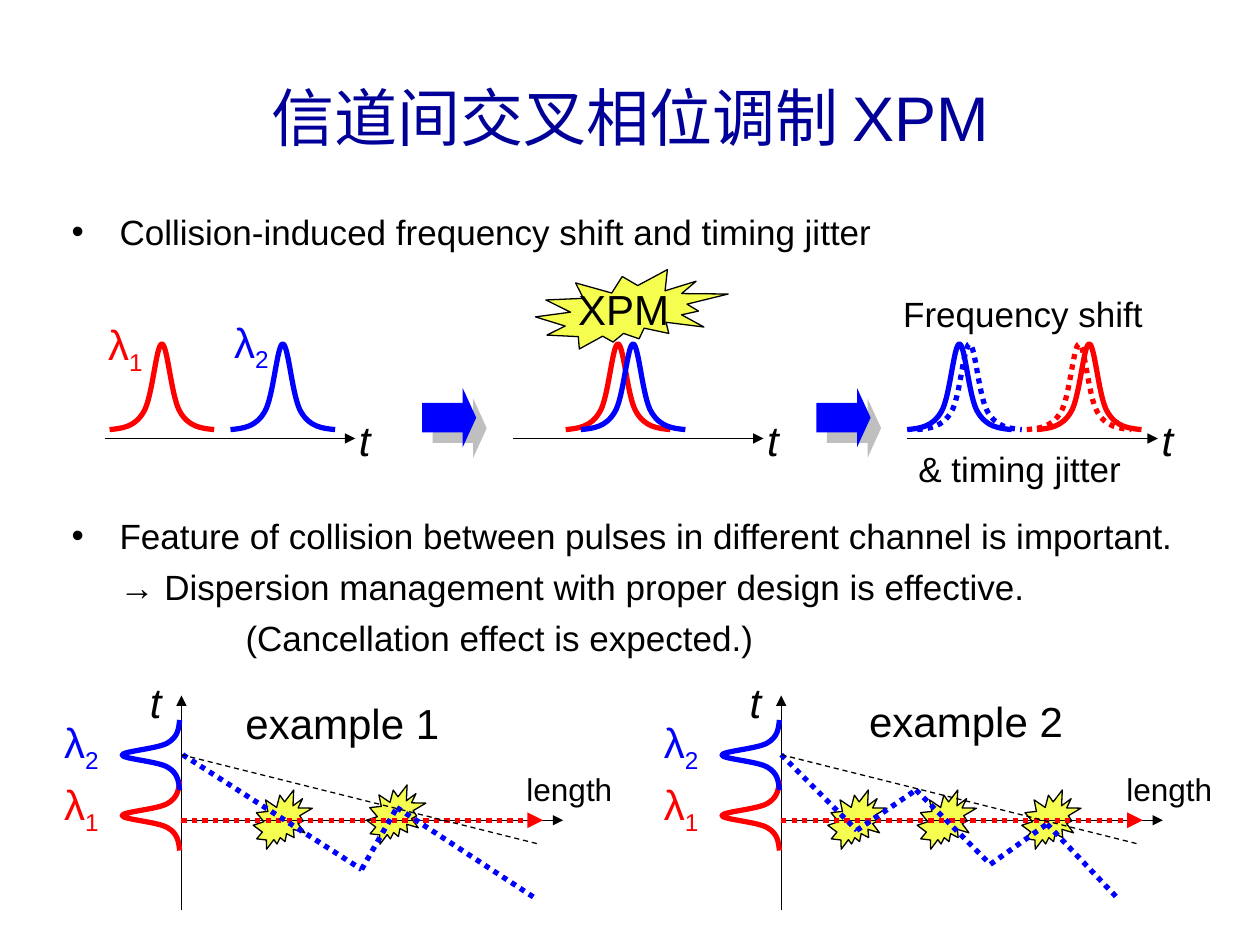
from itertools import pairwise

from lxml.etree import SubElement
from pptx import Presentation
from pptx.dml.color import RGBColor
from pptx.enum.dml import MSO_LINE
from pptx.enum.shapes import MSO_CONNECTOR, MSO_SHAPE
from pptx.enum.text import MSO_ANCHOR, MSO_AUTO_SIZE, PP_ALIGN
from pptx.oxml import parse_xml
from pptx.oxml.ns import nsdecls, qn
from pptx.util import Inches, Pt

COLORS = {
    "title": "000099",
    "black": "000000",
    "red": "FF0000",
    "blue": "0000FF",
    "yellow": "F1FD03",
    "shadow": "808080",
}
FONT = "Arial"
PULSE_WIDTH = 0.83
PULSE_HEIGHT = 0.68
RISE = [(0, 0), (0.1, 0.01), (0.2, 0.02), (0.27, 0.14), (0.34, 0.25), (0.37, 0.68)]
PEAK = (PULSE_WIDTH / 2, PULSE_HEIGHT)
PROFILE = RISE + [PEAK] + [(PULSE_WIDTH - u, v) for u, v in reversed(RISE)]


def color(name):
    return RGBColor.from_string(COLORS[name])


def style_line(line, name, width, dash=None):
    line.color.rgb = color(name)
    line.width = Pt(width)
    if dash:
        line.dash_style = dash


def style_font(font, size, name, italic=False):
    font.name = FONT
    font.size = Pt(size)
    font.color.rgb = color(name)
    font.italic = italic


def add_label(page, left, top, width, height, text, size, name="black",
              italic=False, subscript=""):
    box = page.shapes.add_textbox(Inches(left), Inches(top), Inches(width), Inches(height))
    frame = box.text_frame
    frame.word_wrap = False
    frame.auto_size = MSO_AUTO_SIZE.SHAPE_TO_FIT_TEXT
    para = frame.paragraphs[0]
    para.text = text
    if subscript:
        span = para.add_run()
        span.text = subscript
        span.font._element.set("baseline", "-25000")
    for span in para.runs:
        style_font(span.font, size, name, italic)


def add_time_label(page, left, top):
    add_label(page, left, top, 0.29, 0.5, "t", 24, italic=True)


def add_wavelength(page, left, top, number, name):
    add_label(page, left, top, 0.48, 0.56, "λ", 24, name, subscript=number)


def add_title(page, text):
    box = page.shapes.add_textbox(Inches(0.5), Inches(0.3), Inches(9), Inches(1.25))
    frame = box.text_frame
    frame.word_wrap = True
    frame.vertical_anchor = MSO_ANCHOR.MIDDLE
    para = frame.paragraphs[0]
    para.text = text
    para.alignment = PP_ALIGN.CENTER
    style_font(para.runs[0].font, 36, "title")


def add_body(page, lines):
    box = page.shapes.add_textbox(Inches(0.47), Inches(1.62), Inches(9.29), Inches(5.32))
    frame = box.text_frame
    frame.word_wrap = True
    for index, (text, margin, bullet, space) in enumerate(lines):
        para = frame.add_paragraph() if index else frame.paragraphs[0]
        para.text = text
        para.space_before = Pt(space)
        properties = para._p.get_or_add_pPr()
        properties.set("marL", str(Inches(margin)))
        properties.set("indent", str(-Inches(margin) if bullet else 0))
        if bullet:
            SubElement(properties, qn("a:buFont")).set("typeface", FONT)
            SubElement(properties, qn("a:buChar")).set("char", "•")
        style_font(para.runs[0].font, 20, "black")


def add_line(page, start, end, name="black", width=0.75, dash=None, arrow=False):
    ends = [Inches(value) for value in (*start, *end)]
    connector = page.shapes.add_connector(MSO_CONNECTOR.STRAIGHT, *ends)
    style_line(connector.line, name, width, dash)
    if arrow:
        SubElement(connector.line._get_or_add_ln(), qn("a:tailEnd")).set("type", "triangle")
    SubElement(connector._element.spPr, qn("a:effectLst"))


def add_pulse(page, left, bottom, name, dash=None, scale=1, rotation=0):
    points = [(Inches(left + scale * u), Inches(bottom - scale * v)) for u, v in PROFILE]
    anchors = points[::3]
    builder = page.shapes.build_freeform(*anchors[0])
    builder.add_line_segments(anchors[1:], close=False)
    pulse = builder.convert_to_shape()
    segments = list(pulse._element.iter(qn("a:lnTo")))
    for index, segment in enumerate(segments):
        segment.tag = qn("a:cubicBezTo")
        end = segment[0]
        for x, y in points[3 * index + 1:3 * index + 3]:
            control = SubElement(segment, qn("a:pt"))
            control.set("x", str(x - pulse.left))
            control.set("y", str(y - pulse.top))
        segment.append(end)
    pulse.rotation = rotation
    pulse.shadow.inherit = False
    pulse.fill.background()
    style_line(pulse.line, name, 3, dash)


def add_burst(page, left, top, width=0.47, height=0.47):
    burst = page.shapes.add_shape(MSO_SHAPE.EXPLOSION2, Inches(left), Inches(top),
                                  Inches(width), Inches(height))
    burst.shadow.inherit = False
    burst.fill.solid()
    burst.fill.fore_color.rgb = color("yellow")
    fill_color = burst._element.spPr.find(qn("a:solidFill"))[0]
    SubElement(fill_color, qn("a:alpha")).set("val", "70000")
    style_line(burst.line, "black", 0.75)


def add_block_arrow(page, left):
    arrow = page.shapes.add_shape(MSO_SHAPE.RIGHT_ARROW, Inches(left), Inches(3.08),
                                  Inches(0.43), Inches(0.47))
    arrow.adjustments[0] = 0.5
    arrow.adjustments[1] = 0.25
    arrow.fill.solid()
    arrow.fill.fore_color.rgb = color("blue")
    arrow.line.fill.background()
    arrow._element.spPr.append(parse_xml(
        f'<a:effectLst {nsdecls("a")}><a:outerShdw dist="{Pt(8.5)}" dir="2700000" algn="ctr">'
        f'<a:srgbClr val="{COLORS["shadow"]}"><a:alpha val="50000"/></a:srgbClr>'
        '</a:outerShdw></a:effectLst>'))


def add_stage(page, left, pulses):
    for offset, name, dash in pulses:
        add_pulse(page, left + offset, 3.41, name, dash)
    add_line(page, (left, 3.48), (left + 1.99, 3.48), arrow=True)
    add_time_label(page, left + 1.92, 3.24)


def add_example(page, axis, zigzag, title_place, title):
    add_line(page, (axis, 7.22), (axis, 5.52), arrow=True)
    add_line(page, (axis, 6.51), (axis + 3.03, 6.51), arrow=True)
    for number, name, label_top, bottom in (("1", "red", 6.13, 6.7), ("2", "blue", 5.64, 6.22)):
        add_pulse(page, axis - 0.52, bottom, name, scale=0.67, rotation=270)
        add_wavelength(page, axis - 1.03, label_top, number, name)
    add_line(page, (axis, 6.51), (axis + 2.87, 6.51), "red", 3, MSO_LINE.ROUND_DOT, True)
    add_time_label(page, axis - 0.35, 5.32)
    add_label(page, axis + 2.64, 6.06, 0.88, 0.4, "length", 18)
    for start, end in pairwise(zigzag):
        add_line(page, start, end, "blue", 3, MSO_LINE.ROUND_DOT)
    add_line(page, (axis, 5.99), (axis + 2.84, 6.7), dash=MSO_LINE.DASH)
    add_label(page, *title_place, 1.74, 0.5, title, 24)


def main():
    deck = Presentation()
    deck.slide_width = Inches(10)
    deck.slide_height = Inches(7.5)
    page = deck.slides.add_slide(deck.slide_layouts[6])

    for left, top in ((6.57, 6.27), (7.28, 6.27), (8.11, 6.27), (2.91, 6.23), (2.01, 6.27)):
        add_burst(page, left, top)
    add_burst(page, 4.25, 2.14, 1.53, 0.63)
    add_title(page, "信道间交叉相位调制 XPM")
    add_body(page, [
        ("Collision-induced frequency shift and timing jitter", 0.38, True, 0),
        ("Feature of collision between pulses in different channel is important.", 0.38, True, 150),
        ("→ Dispersion management with proper design is effective.", 0.38, False, 5),
        ("(Cancellation effect is expected.)", 1.38, False, 5)])

    dotted = MSO_LINE.ROUND_DOT
    add_stage(page, 0.83, [(0.04, "red", None), (1, "blue", None)])
    add_stage(page, 4.07, [(0.42, "red", None), (0.54, "blue", None)])
    add_stage(page, 7.2, [(1.03, "red", None), (0, "blue", None),
                          (0.08, "blue", dotted), (0.95, "red", dotted)])
    for left in (3.35, 6.48):
        add_block_arrow(page, left)
    add_wavelength(page, 0.76, 2.48, "1", "red")
    add_wavelength(page, 1.76, 2.46, "2", "blue")
    add_label(page, 4.49, 2.2, 0.92, 0.5, "XPM", 24)
    add_label(page, 7.07, 2.27, 2.1, 0.44, "Frequency shift", 20)
    add_label(page, 7.19, 3.5, 1.81, 0.44, "& timing jitter", 20)

    add_example(page, 6.2,
                [(6.2, 5.99), (6.8, 6.59), (7.27, 6.27), (7.86, 6.86), (8.31, 6.54), (8.88, 7.14)],
                (6.8, 5.47), "example 2")
    add_example(page, 1.44,
                [(1.45, 5.99), (2.87, 6.9), (3.15, 6.41), (4.25, 7.13)],
                (1.85, 5.49), "example 1")
    deck.save("out.pptx")


if __name__ == "__main__":
    main()
